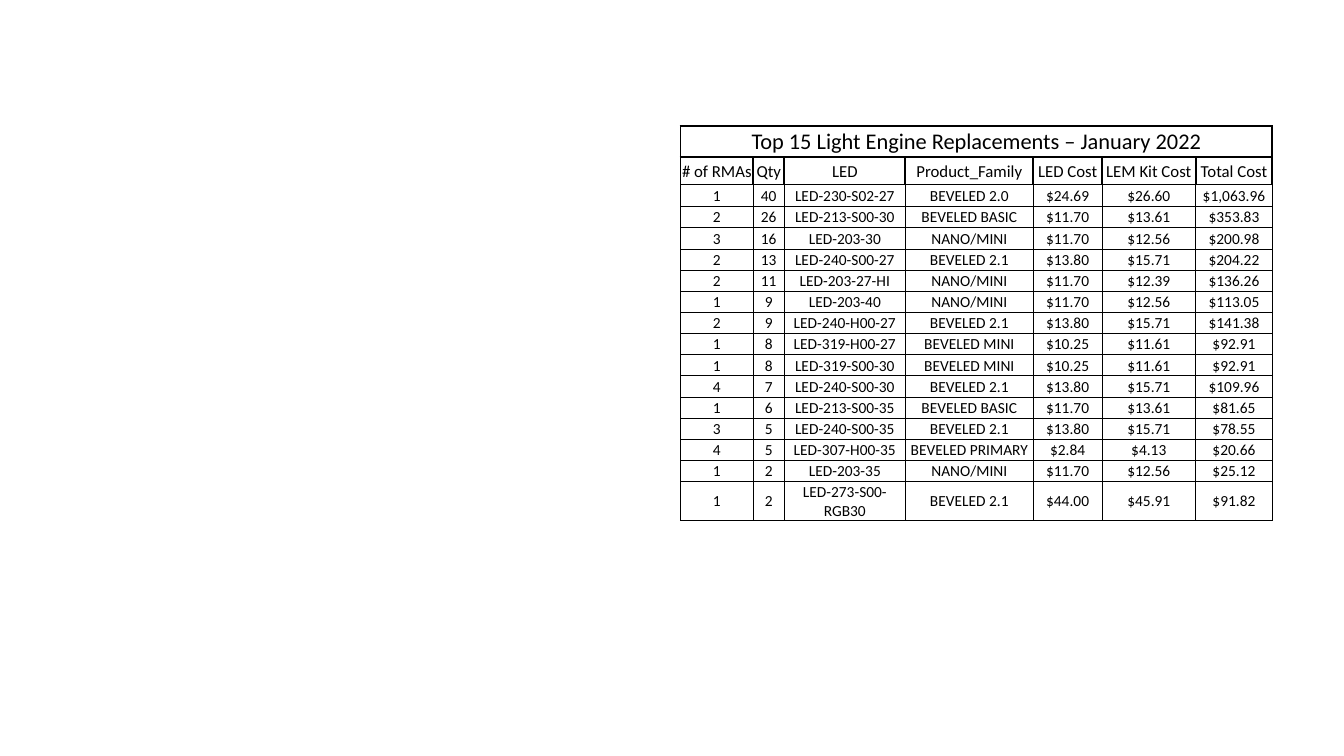
from lxml import etree
from pptx import Presentation, util as u
from pptx.dml.color import RGBColor
from pptx.enum import text as t
from pptx.oxml import ns

PX = 9144
BLACK, WHITE = "000000", "FFFFFF"
THICK, THIN = 1.5, 0.5
TITLE = "Top 15 Light Engine Replacements – January 2022"
HEADS = ("# of RMAs", "Qty", "LED", "Product_Family", "LED Cost",
         "LEM Kit Cost", "Total Cost")
PARTS = (
    ("1", "40", "LED-230-S02-27", "BEVELED 2.0", "$24.69", "$26.60", "$1,063.96"),
    ("2", "26", "LED-213-S00-30", "BEVELED BASIC", "$11.70", "$13.61", "$353.83"),
    ("3", "16", "LED-203-30", "NANO/MINI", "$11.70", "$12.56", "$200.98"),
    ("2", "13", "LED-240-S00-27", "BEVELED 2.1", "$13.80", "$15.71", "$204.22"),
    ("2", "11", "LED-203-27-HI", "NANO/MINI", "$11.70", "$12.39", "$136.26"),
    ("1", "9", "LED-203-40", "NANO/MINI", "$11.70", "$12.56", "$113.05"),
    ("2", "9", "LED-240-H00-27", "BEVELED 2.1", "$13.80", "$15.71", "$141.38"),
    ("1", "8", "LED-319-H00-27", "BEVELED MINI", "$10.25", "$11.61", "$92.91"),
    ("1", "8", "LED-319-S00-30", "BEVELED MINI", "$10.25", "$11.61", "$92.91"),
    ("4", "7", "LED-240-S00-30", "BEVELED 2.1", "$13.80", "$15.71", "$109.96"),
    ("1", "6", "LED-213-S00-35", "BEVELED BASIC", "$11.70", "$13.61", "$81.65"),
    ("3", "5", "LED-240-S00-35", "BEVELED 2.1", "$13.80", "$15.71", "$78.55"),
    ("4", "5", "LED-307-H00-35", "BEVELED PRIMARY", "$2.84", "$4.13", "$20.66"),
    ("1", "2", "LED-203-35", "NANO/MINI", "$11.70", "$12.56", "$25.12"),
    ("1", "2", "LED-273-S00-RGB30", "BEVELED 2.1", "$44.00", "$45.91", "$91.82"),
)
WIDTHS = (72, 31, 120, 127, 68, 93, 76)
HEIGHTS = (31, 27, 22) + (21,) * (len(PARTS) - 1)


def px(n):
    """Turn px into EMU."""
    return u.Emu(n * PX)


def color(code):
    """Turn a hex string into a colour."""
    return RGBColor.from_string(code)


def border(cell, side, width):
    """Draw one black edge of a cell."""
    line = etree.SubElement(cell._tc.get_or_add_tcPr(), ns.qn("a:ln" + side),
                            w=str(u.Pt(width)))
    fill = etree.SubElement(line, ns.qn("a:solidFill"))
    etree.SubElement(fill, ns.qn("a:srgbClr"), val=BLACK)


def style(cell, size, top, rest):
    """Set the edges, fill, margins and font of a cell."""
    for side in "LRTB":
        border(cell, side, top if side == "T" else rest)
    cell.fill.solid()
    cell.fill.fore_color.rgb = color(WHITE)
    cell.margin_left = cell.margin_right = cell.margin_top = px(1)
    cell.margin_bottom = px(0)
    cell.vertical_anchor = t.MSO_ANCHOR.MIDDLE
    para = cell.text_frame.paragraphs[0]
    para.alignment = t.PP_ALIGN.CENTER
    para.font.size = u.Pt(size)
    for run in para.runs:
        run.font.name = "Calibri"
        run.font.size = u.Pt(size)
        run.font.bold = False
        run.font.color.rgb = color(BLACK)


def grid(slide, left, top):
    """Add the table of replaced parts."""
    rows = ((TITLE,) + ("",) * (len(HEADS) - 1), HEADS) + PARTS
    table = slide.shapes.add_table(len(rows), len(WIDTHS), px(left), px(top),
                                   px(sum(WIDTHS)), px(sum(HEIGHTS))).table
    table.first_row = table.horz_banding = False
    for col, width in zip(table.columns, WIDTHS):
        col.width = px(width)
    for row, height in zip(table.rows, HEIGHTS):
        row.height = px(height)
    table.cell(0, 0).merge(table.cell(0, len(WIDTHS) - 1))
    for i, row in enumerate(rows):
        size = {0: 16, 1: 12}.get(i, 11)
        for j, word in enumerate(row):
            cell = table.cell(i, j)
            cell.text_frame.text = word
            style(cell, size, THICK if i < 3 else THIN, THICK if i < 2 else THIN)


def main():
    """Build the slide and save it."""
    deck = Presentation()
    deck.slide_width, deck.slide_height = px(1333), px(750)
    slide = deck.slides.add_slide(deck.slide_layouts[6])
    grid(slide, 675, 125)
    deck.save("out.pptx")


if __name__ == "__main__":
    main()
